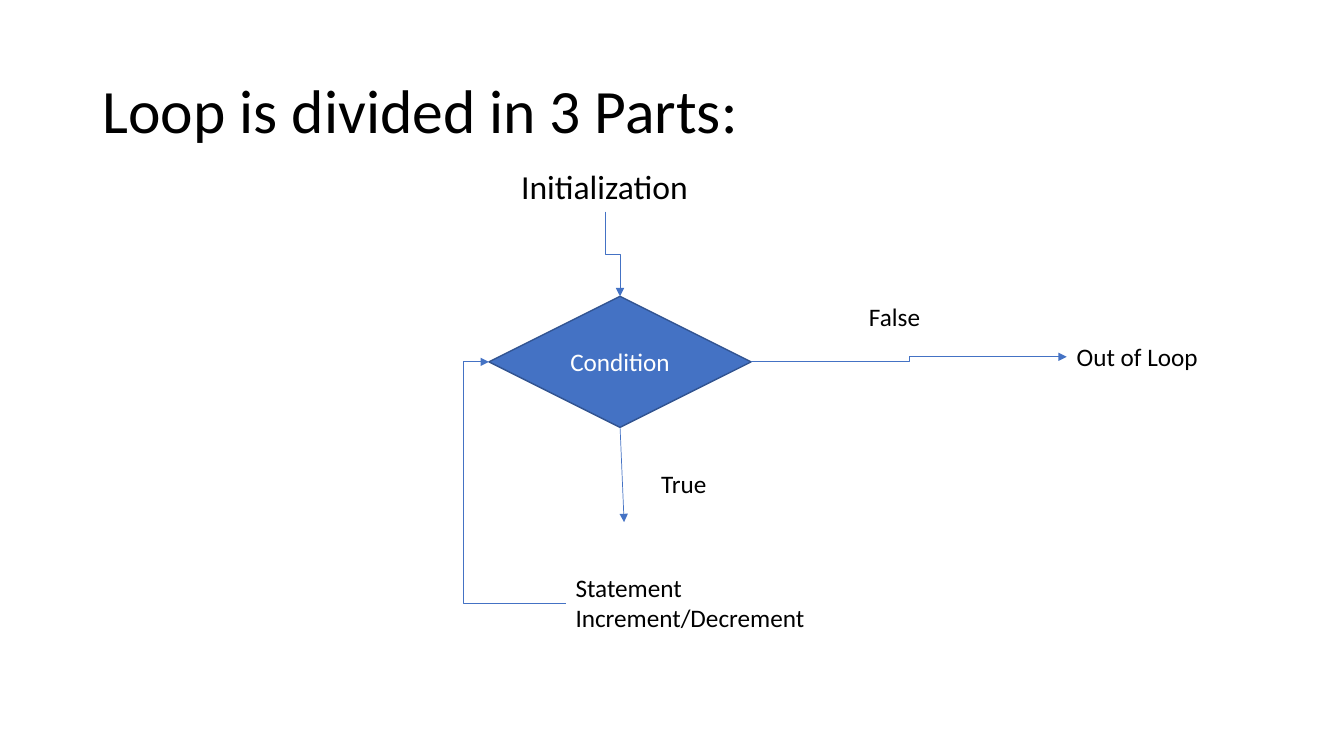
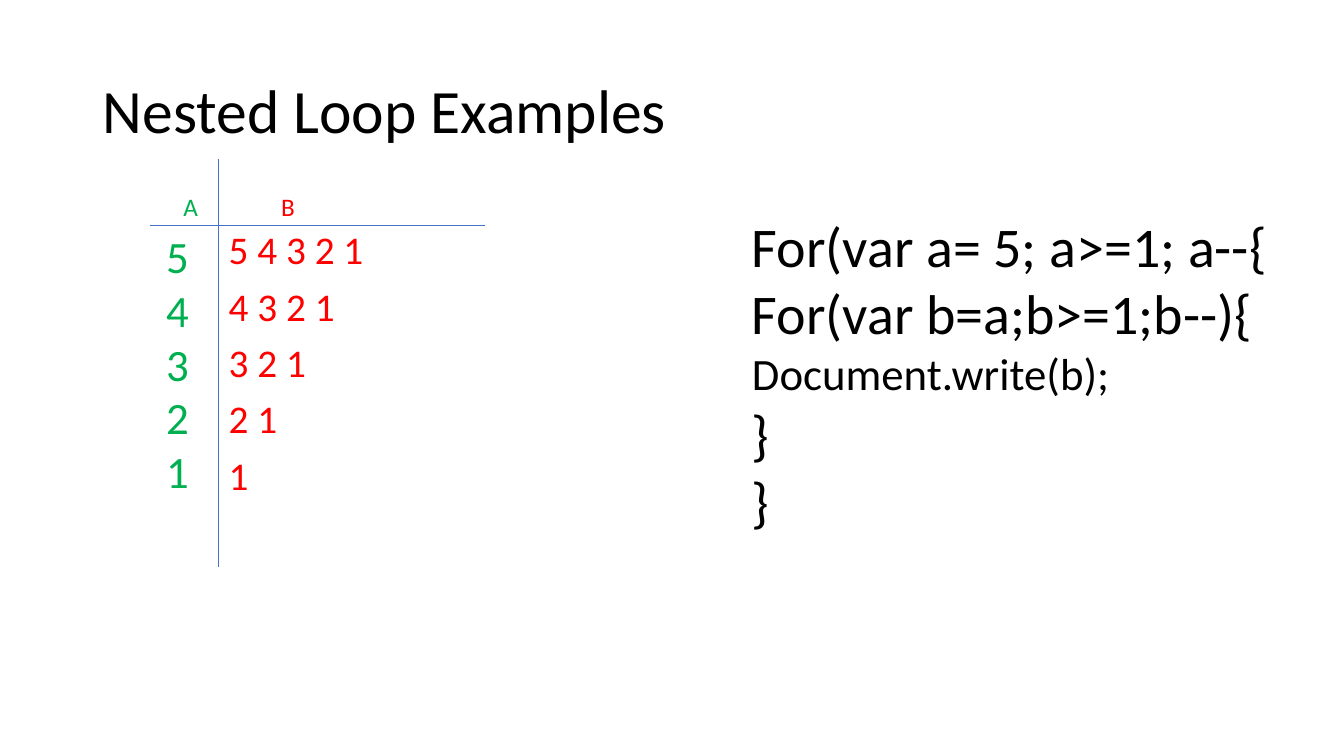
"""Build two slides on how loops work, with a flow chart and a nested example."""
import dataclasses

import pptx
import pptx.dml.color
import pptx.enum.shapes
import pptx.enum.text
import pptx.oxml.ns
import pptx.util
from lxml import etree

Inches = pptx.util.Inches
Color = pptx.dml.color.RGBColor
Kind = pptx.enum.shapes.MSO_CONNECTOR
Fit = pptx.enum.text.MSO_AUTO_SIZE
Anchor = pptx.enum.text.MSO_ANCHOR
qn = pptx.oxml.ns.qn


@dataclasses.dataclass(frozen=True)
class Theme:
    """Hold the colours, type sizes and line widths."""
    font: str = "Calibri"
    ink: Color = Color(0x00, 0x00, 0x00)
    paper: Color = Color(0xFF, 0xFF, 0xFF)
    blue: Color = Color(0x44, 0x72, 0xC4)
    edge: Color = Color(0x32, 0x54, 0x91)
    red: Color = Color(0xFF, 0x00, 0x00)
    green: Color = Color(0x00, 0xB0, 0x50)
    title: int = 44
    code: int = 40
    digit: int = 32
    row: int = 28
    lead: int = 24
    label: int = 18
    thin: float = 0.5
    rim: float = 1


class Deck:
    """Hold the style and the current slide."""

    def __init__(self, theme):
        """Start an empty wide deck."""
        self.theme = theme
        self.file = pptx.Presentation()
        self.file.slide_width = Inches(13.33)
        self.file.slide_height = Inches(7.5)
        self.slide = None

    def page(self, title):
        """Add a blank slide with its title."""
        self.slide = self.file.slides.add_slide(self.file.slide_layouts[6])
        box = self.text([title], (0.92, 0.4, 11.5, 1.45), self.theme.title,
                        wrap=True, grow=False, tight=0.9)
        box.text_frame.vertical_anchor = Anchor.MIDDLE

    def letter(self, frame, lines, sizes, color):
        """Fill a frame with one paragraph per line."""
        frame.text = "\n".join(lines)
        for par, size in zip(frame.paragraphs, sizes):
            par.font.name = self.theme.font
            par.font.size = pptx.util.Pt(size)
            par.font.color.rgb = color

    def text(self, lines, place, size, color=None, wrap=False, grow=True,
             tight=None, gap=None):
        """Add a text box, with one size or a size per line."""
        box = self.slide.shapes.add_textbox(*map(Inches, place))
        frame = box.text_frame
        frame.word_wrap = wrap
        frame.auto_size = Fit.SHAPE_TO_FIT_TEXT if grow else Fit.NONE
        sizes = [size] * len(lines) if isinstance(size, int) else size
        self.letter(frame, lines, sizes, color or self.theme.ink)
        for par in frame.paragraphs:
            if tight:
                par.line_spacing = tight
            if gap:
                par.space_before = pptx.util.Pt(gap)
        return box

    def choice(self, label, place):
        """Add a decision diamond."""
        form = pptx.enum.shapes.MSO_SHAPE.FLOWCHART_DECISION
        shape = self.slide.shapes.add_shape(form, *map(Inches, place))
        shape.shadow.inherit = False
        shape.fill.solid()
        shape.fill.fore_color.rgb = self.theme.blue
        shape.line.color.rgb = self.theme.edge
        shape.line.width = pptx.util.Pt(self.theme.rim)
        self.letter(shape.text_frame, [label], [self.theme.label], self.theme.paper)
        shape.text_frame.vertical_anchor = Anchor.MIDDLE
        shape.text_frame.paragraphs[0].alignment = pptx.enum.text.PP_ALIGN.CENTER
        return shape

    def line(self, start, end, kind=Kind.STRAIGHT, arrow=False):
        """Add a thin line between two points."""
        link = self.slide.shapes.add_connector(kind, *map(Inches, start + end))
        link.line.color.rgb = self.theme.blue
        link.line.width = pptx.util.Pt(self.theme.thin)
        props = link._element.spPr
        if arrow:
            etree.SubElement(props.find(qn("a:ln")), qn("a:tailEnd"), type="triangle")
        etree.SubElement(props, qn("a:effectLst"))
        return link

    def bend(self, source, out, target, into, bow=None):
        """Join two shapes with an elbow arrow."""
        link = self.line((0, 0), (1, 1), Kind.ELBOW, True)
        link.begin_connect(source, out)
        link.end_connect(target, into)
        props = link._element.spPr
        if bow:
            guides = props.find(qn("a:prstGeom")).get_or_add_avLst()
            etree.SubElement(guides, qn("a:gd"), name="adj1",
                             fmla=f"val {round(bow * 100000)}")
        if out == 2:
            wide, high = link.width, link.height
            link.left += (wide - high) // 2
            link.top += (high - wide) // 2
            link.width, link.height = high, wide
            frame = props.find(qn("a:xfrm"))
            frame.set("rot", "16200000")
            frame.set("flipH", "1")


def flow(deck):
    """Draw the loop flow chart."""
    size = deck.theme.label
    deck.page("Loop is divided in 3 Parts:")
    first = deck.text(["Initialization"], (5.07, 1.6, 1.87, 0.5), deck.theme.lead)
    test = deck.choice("Condition", (4.85, 2.94, 2.6, 1.3))
    deck.line((6.15, 4.24), (6.19, 5.18), arrow=True).begin_connect(test, 2)
    step = deck.text(["Statement", "Increment/Decrement"], (5.61, 5.63, 2.5, 0.71), size)
    deck.text(["True"], (6.46, 4.6, 0.66, 0.4), size)
    done = deck.text(["Out of Loop"], (10.58, 3.34, 1.42, 0.4), size)
    deck.text(["False"], (8.52, 2.94, 0.71, 0.4), size)
    deck.bend(step, 1, test, 1, bow=1.33)
    deck.bend(first, 2, test, 0)
    deck.bend(test, 3, done, 1)


def nest(deck):
    """Draw the nested loop values and code."""
    theme = deck.theme
    deck.page("Nested Loop Examples")
    count = [str(n) for n in range(5, 0, -1)]
    rows = [" ".join(count[i:]) for i in range(len(count))]
    deck.text(rows, (2.17, 2.24, 1.7, 3.39), theme.row, theme.red,
              wrap=True, grow=False, tight=0.9, gap=10)
    deck.line((1.49, 2.24), (4.81, 2.24))
    deck.line((2.17, 1.58), (2.17, 5.63))
    for name, left, color in (("A", 1.72, theme.green), ("B", 2.69, theme.red)):
        deck.text([name], (left, 1.85, 0.35, 0.4), theme.label, color)
    deck.text(count, (1.55, 2.22, 0.68, 2.79), theme.digit, theme.green, wrap=True)
    code = ["For(var a= 5; a>=1; a--{", "For(var b=a;b>=1;b--){",
            "Document.write(b);", "}", "}"]
    big = theme.code
    deck.text(code, (7.36, 2.05, 5.42, 3.33), [big, big, theme.digit, big, big])


def main():
    """Build and save the deck."""
    deck = Deck(Theme())
    flow(deck)
    nest(deck)
    deck.file.save("out.pptx")


if __name__ == "__main__":
    main()
